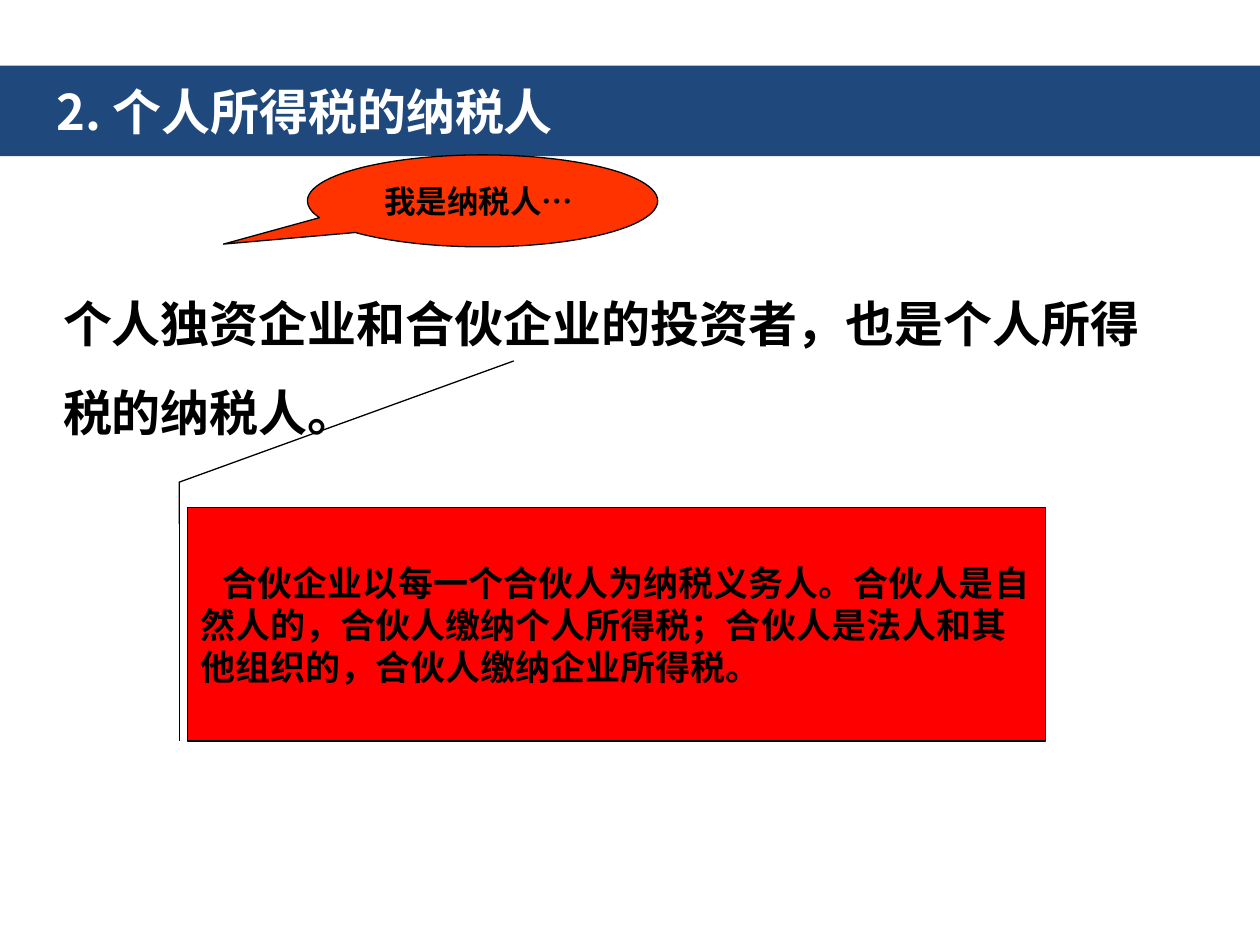
from pptx import Presentation
from pptx.dml.color import RGBColor
from pptx.enum.shapes import MSO_SHAPE as Shape
from pptx.enum.text import MSO_ANCHOR as Anchor, MSO_AUTO_SIZE as Auto, PP_ALIGN as Align
from pptx.oxml.ns import qn
from pptx.util import Inches, Pt
from lxml.etree import SubElement as Sub

SANS = "Noto Sans CJK SC"


def tint(code):
    return RGBColor.from_string(code)


class Deck:
    def __init__(self):
        self.prs = Presentation()
        self.prs.slide_width = Inches(10)
        self.prs.slide_height = Inches(7.5)
        self.slide = self.prs.slides.add_slide(self.prs.slide_layouts[1])

    def place(self, item, area):
        for key, val in zip(("left", "top", "width", "height"), area):
            setattr(item, key, Inches(val))

    def paint(self, item, fill):
        item.fill.solid()
        item.fill.fore_color.rgb = tint(fill)

    def label(self, item, runs, size, ink="000000", anchor=Anchor.MIDDLE,
              pad=0.1, indent=0, **form):
        frame = item.text_frame
        look = {"word_wrap": True, "auto_size": Auto.NONE, "vertical_anchor": anchor,
                "margin_left": Inches(pad), "margin_right": Inches(0.1),
                "margin_top": Inches(0.05), "margin_bottom": Inches(0.05)}
        for key, val in look.items():
            setattr(frame, key, val)
        par = frame.paragraphs[0]
        props = par._p.get_or_add_pPr()
        props.set("marL", "0")
        props.set("indent", str(Inches(indent)))
        Sub(props, qn("a:buNone"))
        form = {"alignment": Align.LEFT, "space_before": Pt(0)} | form
        for key, val in form.items():
            setattr(par, key, val)
        for text, face in runs:
            run = par.add_run()
            run.text = text
            for key, val in {"size": Pt(size), "bold": True, "name": face}.items():
                setattr(run.font, key, val)
            run.font.color.rgb = tint(ink)
            Sub(run._r.get_or_add_rPr(), qn("a:ea")).set("typeface", SANS)

    def title(self, text, area, fill):
        item = self.slide.shapes.title
        self.place(item, area)
        self.paint(item, fill)
        self.label(item, [(text, SANS)], 28, "FFFFFF", pad=0.45)

    def body(self, text, area):
        item = self.slide.placeholders[1]
        self.place(item, area)
        self.label(item, [(text, SANS)], 28, anchor=Anchor.BOTTOM, line_spacing=1.5)

    def callout(self, kind, area, fill, points, runs, size, flip=False, **form):
        item = self.slide.shapes.add_shape(kind, *map(Inches, area))
        item.shadow.inherit = False
        self.paint(item, fill)
        item.line.color.rgb = tint("000000")
        item.line.width = Pt(0.75)
        for num, val in enumerate(points):
            item.adjustments[num] = val
        if flip:
            item._element.spPr.find(qn("a:xfrm")).set("flipH", "1")
        self.label(item, runs, size, **form)


def main():
    deck = Deck()
    deck.title("2. 个人所得税的纳税人", (0, 0.52, 10, 0.72), "1F497D")
    deck.body("个人独资企业和合伙企业的投资者，也是个人所得税的纳税人。",
              (0.4, 2.04, 8.98, 1.51))
    deck.callout(Shape.LINE_CALLOUT_3_BORDER_AND_ACCENT_BAR, (1.49, 4.03, 6.81, 1.85),
                 "FF0000", (0.07, 1.01, 0.07, 1.01, -0.11, 1.01, -0.63, 0.62),
                 [("合伙企业以每一个合伙人为纳税义务人。合伙人是自然人的，合伙人缴纳个人所得税；"
                   "合伙人是法人和其他组织的，合伙人缴纳企业所得税。", SANS)],
                 20, flip=True, indent=0.18)
    deck.callout(Shape.OVAL_CALLOUT, (2.44, 1.23, 2.78, 0.73), "FF3300", (-0.74, 0.47),
                 [("我是纳税人", SANS), ("… ", "Times New Roman")],
                 18, alignment=Align.CENTER)
    deck.prs.save("out.pptx")


if __name__ == "__main__":
    main()
